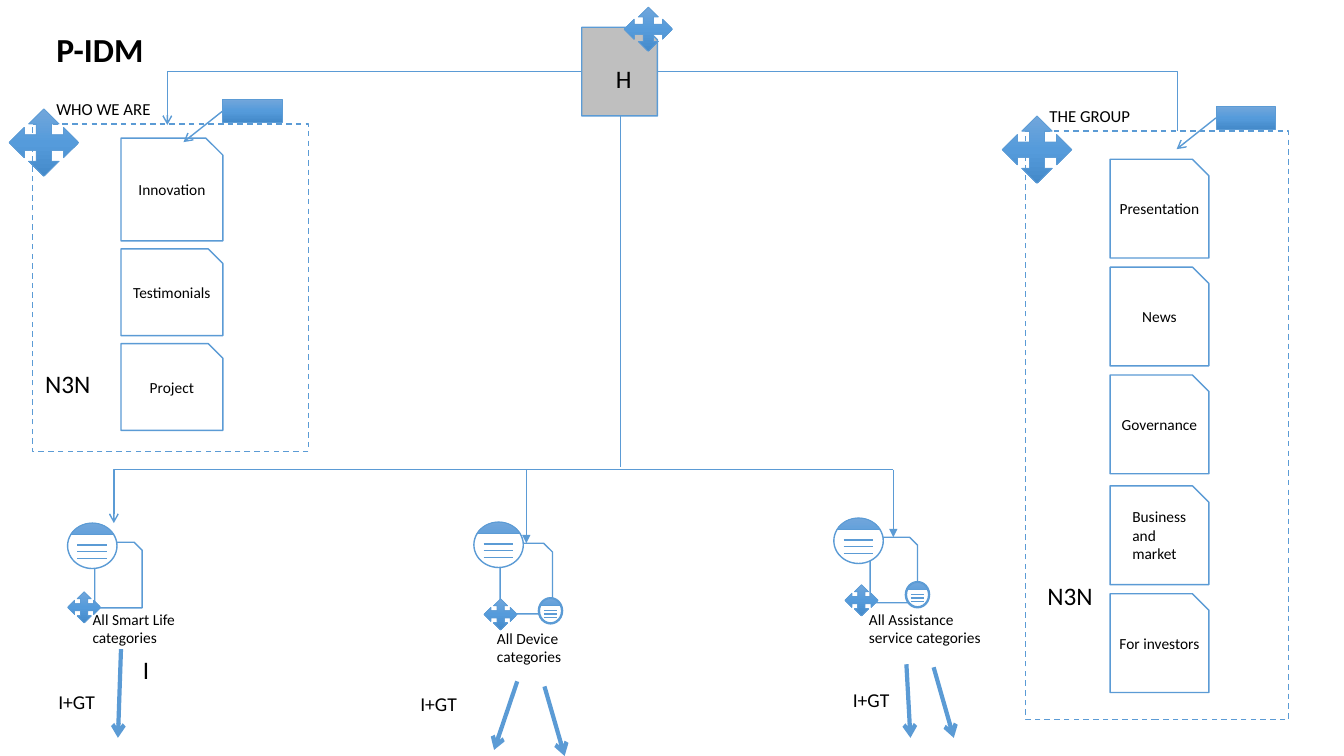
import copy
from pptx import Presentation
from pptx import util as u
from pptx.dml.color import RGBColor
from pptx.enum import dml, shapes, text
from pptx.oxml.ns import qn
from lxml import etree

COLORS = {"blue": "5B9BD5", "top": "71A6DB", "middle": "559BDB", "bottom": "448ACA",
          "white": "FFFFFF", "grey": "BFBFBF", "black": "000000"}
KIND = shapes.MSO_SHAPE
LINK = shapes.MSO_CONNECTOR

prs = Presentation()
prs.slide_width, prs.slide_height = u.Inches(13.33), u.Inches(7.5)
s = prs.slides.add_slide(prs.slide_layouts[5])


def rgb(name):
    return RGBColor.from_string(COLORS[name])


def inches(*lengths):
    return [u.Inches(v) for v in lengths]


def style_text(tf, size, bold=False, align=text.PP_ALIGN.LEFT):
    for p in tf.paragraphs:
        p.alignment = align
        for r in p.runs:
            r.font.name, r.font.size, r.font.bold = "Calibri", u.Pt(size), bold
            r.font.color.rgb = rgb("black")


def shape(kind, x, y, w, h, fill="white", width=1.0):
    sp = s.shapes.add_shape(kind, *inches(x, y, w, h))
    sp.shadow.inherit = False
    sp.fill.solid()
    sp.fill.fore_color.rgb = rgb(fill)
    sp.line.color.rgb = rgb("blue")
    sp.line.width = u.Pt(width)
    return sp


def glossy(kind, x, y, w, h):
    """Shape filled with the three-step blue gradient."""
    sp = shape(kind, x, y, w, h, width=0.5)
    sp.fill.gradient()
    sp.fill.gradient_angle = 270
    stops = sp._element.spPr.find(qn("a:gradFill")).find(qn("a:gsLst"))
    stops.insert(1, copy.deepcopy(stops[0]))
    for stop, name, place in zip(sp.fill.gradient_stops, ("top", "middle", "bottom"), (0, 0.5, 1)):
        stop.color.rgb = rgb(name)
        stop.position = place
    return sp


def label(words, x, y, w, h, size):
    tf = s.shapes.add_textbox(*inches(x, y, w, h)).text_frame
    tf.word_wrap = True
    tf.text = words
    style_text(tf, size)


def line(x1, y1, x2, y2, width=1.0, head=None, elbow=False):
    c = s.shapes.add_connector(LINK.ELBOW if elbow else LINK.STRAIGHT, *inches(x1, y1, x2, y2))
    c.line.color.rgb = rgb("blue")
    c.line.width = u.Pt(width)
    spPr = c._element.spPr
    if head:
        etree.SubElement(spPr.find(qn("a:ln")), qn("a:tailEnd"), type=head)
    if elbow:  # turn only at the far end
        guides = spPr.find(qn("a:prstGeom")).get_or_add_avLst()
        etree.SubElement(guides, qn("a:gd"), name="adj1", fmla="val 100000")
    etree.SubElement(spPr, qn("a:effectLst"))


def card(words, x, y, w, h):
    sp = shape(KIND.SNIP_1_RECTANGLE, x, y, w, h)
    tf = sp.text_frame
    tf.word_wrap = True
    tf.vertical_anchor = text.MSO_ANCHOR.MIDDLE
    tf.text = words
    several = len(tf.paragraphs) > 1
    # Margins offset the cut corner
    tf.margin_left = u.Inches(0.22 if several else h / 12)
    tf.margin_right = tf.margin_top = 0
    tf.margin_bottom = u.Inches(h / 12)
    style_text(tf, 11, align=text.PP_ALIGN.LEFT if several else text.PP_ALIGN.CENTER)


def badge(x, y, w, h):
    """Round icon with a blue cap and three text lines."""
    shape(KIND.OVAL, x, y, w, h)
    for share in (0.48, 0.63, 0.78):
        line(x + 0.2 * w, y + share * h, x + 0.8 * w, y + share * h)
    cap = glossy(KIND.CHORD, x, y, w, h)
    cap.adjustments[0], cap.adjustments[1] = 208 * 0.6, 332 * 0.6


def small_badge(x, y):
    shape(KIND.OVAL, x, y, 0.24, 0.26)
    badge(x + 0.01, y + 0.01, 0.22, 0.24)


def panel(x, y, w, h, title, note_at, card_x, card_w, cards):
    """Dashed section with its cards, heading and callout."""
    frame = shape(KIND.RECTANGLE, x, y, w, h)
    frame.line.dash_style = dml.MSO_LINE.DASH
    for words, top, height in cards:
        card(words, x + card_x, y + top, card_w, height)
    glossy(KIND.RECTANGLE, x + 1.89, y - 0.24, 0.59, 0.22)
    line(x + 1.89, y - 0.13, x + 1.5, y + 0.18, head="arrow")
    glossy(KIND.QUAD_ARROW, x - 0.23, y - 0.15, 0.69, 0.67)
    label(title, x + 0.14, y - 0.3, 1.28, 0.3, 12)
    label("N3N", x + note_at[0], y + note_at[1], 1.24, 0.4, 18)


def category(x, y, caption, page, move, caption_box, target, arrows, small=None):
    """Category page with icons, caption and outgoing arrows."""
    shape(KIND.SNIP_1_RECTANGLE, x + page[0], y + page[1], *page[2:])
    badge(x, y, 0.49, 0.45)
    glossy(KIND.QUAD_ARROW, x + move[0], y + move[1], 0.33, 0.31)
    if small:
        small_badge(x + small[0], y + small[1])
    left, top, width = caption_box
    label(caption, x + left, y + top, width, 0.47, 11)
    label("I+GT", x + target[0], y + target[1], 0.87, 0.34, 14)
    for x1, y1, x2, y2 in arrows:
        line(x + x1, y + y1, x + x2, y + y2, width=3, head="arrow")


def heading(x, y, w, h):
    title = s.shapes.title
    title.left, title.top, title.width, title.height = inches(x, y, w, h)
    tf = title.text_frame
    tf.text = "P-IDM"
    tf.auto_size = text.MSO_AUTO_SIZE.NONE
    tf.vertical_anchor = text.MSO_ANCHOR.TOP
    style_text(tf, 24, bold=True)


def home(x, y, w, h):
    shape(KIND.SNIP_1_RECTANGLE, x, y, w, h, fill="grey")
    label("H", x + 0.24, y + 0.31, 0.42, 0.4, 18)
    glossy(KIND.QUAD_ARROW, x + 0.42, y - 0.2, 0.48, 0.44)


def links(home_left, home_right, home_mid, branch_y):
    line(home_left, 0.71, 1.66, 1.24, head="arrow", elbow=True)
    line(home_right, 0.71, 11.68, 1.3, elbow=True)
    line(home_mid, 1.15, home_mid, 4.63, width=0.5)
    line(6.1, branch_y, 1.13, 5.19, head="arrow", elbow=True)
    line(6.1, branch_y, 8.86, branch_y, width=0.5)


heading(0.46, 0.24, 1.22, 0.5)
home(5.77, 0.27, 0.75, 0.88)

# Section panels
panel(0.32, 1.23, 2.74, 3.25, "WHO WE ARE", (0.03, 2.38), 0.88, 1.01,
      [("Innovation", 0.14, 1.02), ("Testimonials", 1.24, 0.86), ("Project", 2.18, 0.86)])
panel(10.17, 1.3, 2.61, 5.84, "THE GROUP", (0.12, 4.41), 0.84, 0.98,
      [("Presentation", 0.28, 0.98), ("News", 1.35, 0.98), ("Governance", 2.42, 0.98),
       ("Business\nand\nmarket", 3.52, 0.98), ("For investors", 4.59, 0.98)])
links(5.77, 6.52, 6.15, 4.66)

# Category branches
category(0.67, 5.19, "All Smart Life categories", page=(0.27, 0.19, 0.47, 0.65),
         move=(0, 0.68), caption_box=(0.15, 0.81, 1.2), target=(-0.19, 1.61),
         arrows=[(0.53, 1.25, 0.5, 2.13)])
label("I", 1.32, 6.44, 0.27, 0.4, 18)
category(4.7, 5.18, "All Device categories", page=(0.26, 0.21, 0.52, 0.7),
         move=(0.1, 0.76), caption_box=(0.13, 1.01, 1.19), target=(-0.63, 1.64),
         arrows=[(0.43, 1.58, 0.2, 2.26), (0.7, 1.63, 0.9, 2.32)], small=(0.64, 0.75))
category(8.27, 5.14, "All Assistance service categories", page=(0.36, 0.19, 0.47, 0.65),
         move=(0.11, 0.66), caption_box=(0.25, 0.86, 1.37), target=(0.09, 1.64),
         arrows=[(0.72, 1.45, 0.76, 2.18), (0.99, 1.48, 1.19, 2.18)], small=(0.71, 0.63))
for drop_x, drop_end in ((5.22, 5.39), (8.86, 5.33)):
    line(drop_x, 4.66, drop_x, drop_end, width=0.5, head="triangle")

prs.save("out.pptx")
